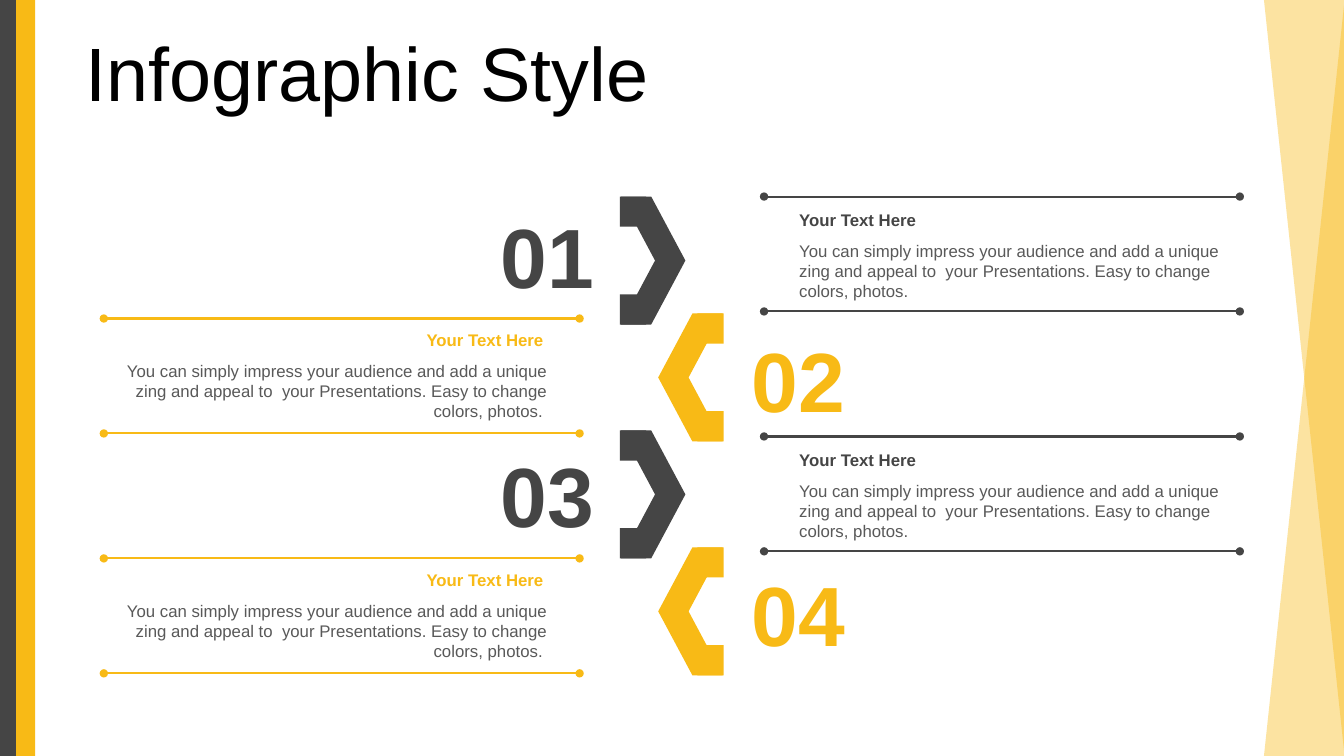
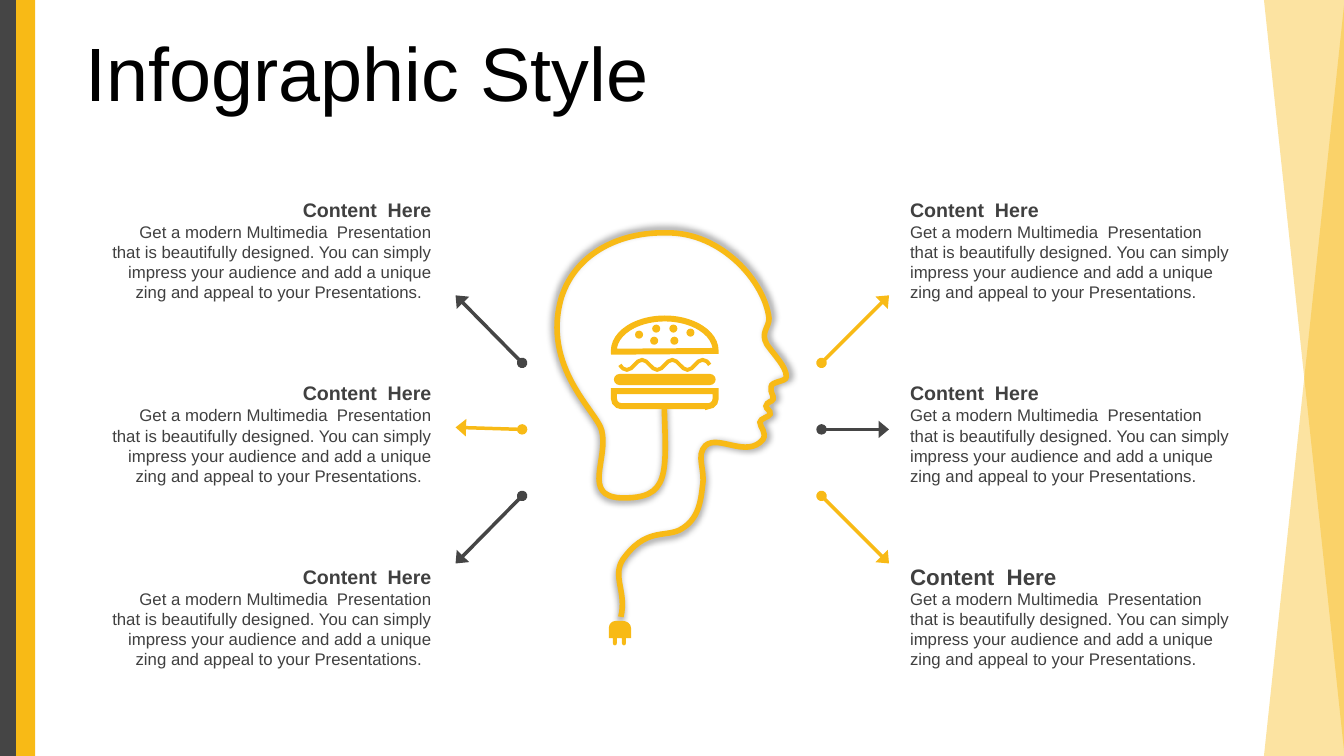
import pptx
import pptx.dml.color
import pptx.enum.shapes
import pptx.enum.text
import pptx.oxml.ns
import pptx.util

Inches = pptx.util.Inches
Pt = pptx.util.Pt
qn = pptx.oxml.ns.qn
SHAPE = pptx.enum.shapes.MSO_SHAPE
ALIGN = pptx.enum.text.PP_ALIGN
ANCHOR = pptx.enum.text.MSO_ANCHOR
AUTO_SIZE = pptx.enum.text.MSO_AUTO_SIZE

DARK, GOLD, WHITE, BLACK = "454545", "F8BA16", "FFFFFF", "000000"
BODY_GREY, TEXT_GREY = "595959", "404040"
FONT = "Arial"

IMPRESS = ("You can simply impress your audience and add a unique zing and appeal to  your "
           "Presentations. Easy to change colors, photos.")
MODERN = ("Get a modern Multimedia  Presentation that is beautifully designed. You can simply "
          "impress your audience and add a unique zing and appeal to your Presentations.")

HEAD_START = (6.59, 4.02)
HEAD_CURVES = [
    (6.61, 4.71, 6.65, 4.95, 6.16, 4.94), (5.77, 4.92, 6.04, 4.55, 5.97, 4.27),
    (5.92, 4.08, 5.37, 3.64, 5.57, 2.95), (5.72, 2.49, 6.18, 2.3, 6.61, 2.31),
    (7.16, 2.3, 7.59, 2.8, 7.63, 3.16), (7.63, 3.25, 7.54, 3.3, 7.61, 3.42),
    (7.68, 3.52, 7.81, 3.65, 7.8, 3.74), (7.8, 3.79, 7.65, 3.78, 7.65, 3.84),
    (7.64, 3.9, 7.68, 3.92, 7.67, 3.96), (7.66, 3.99, 7.61, 3.98, 7.6, 4.03),
    (7.6, 4.06, 7.65, 4.07, 7.64, 4.11), (7.63, 4.14, 7.54, 4.15, 7.54, 4.19),
    (7.54, 4.24, 7.61, 4.29, 7.57, 4.36), (7.41, 4.55, 7.13, 4.31, 7, 4.42),
    (6.9, 4.52, 7, 4.66, 6.97, 4.82), (6.95, 5.02, 6.91, 5.17, 6.74, 5.26),
    (6.59, 5.33, 6.4, 5.24, 6.18, 5.55), (6.07, 5.72, 6.22, 5.87, 6.16, 6.12),
]
PLUG_START = (6.11, 6.16)
PLUG_EDGES = [
    (6.18, 6.16), (6.22, 6.16, 6.26, 6.19, 6.26, 6.23), (6.26, 6.33), (6.21, 6.33),
    (6.21, 6.38), (6.21, 6.41, 6.17, 6.41, 6.17, 6.38), (6.17, 6.33), (6.12, 6.33),
    (6.12, 6.38), (6.12, 6.41, 6.08, 6.41, 6.08, 6.38), (6.08, 6.33), (6.04, 6.33),
    (6.04, 6.23), (6.04, 6.19, 6.07, 6.16, 6.11, 6.16),
]
SEEDS = [(6.3, 3.28), (6.47, 3.22), (6.64, 3.22), (6.81, 3.26), (6.45, 3.34), (6.65, 3.34)]


def rgb(color):
    return pptx.dml.color.RGBColor.from_string(color)


def add_xml(parent, tag, **attributes):
    element = parent.makeelement(qn(tag), attributes)
    parent.append(element)
    return element


def apply_format(target, values):
    for name, value in values.items():
        setattr(target, name, value)


def paint(shape, fill=None, line=None, width=0):
    shape.shadow.inherit = False
    if fill:
        shape.fill.solid()
        shape.fill.fore_color.rgb = rgb(fill)
    else:
        shape.fill.background()
    if line:
        shape.line.color.rgb = rgb(line)
        shape.line.width = Pt(width)
        add_xml(shape.element.spPr.find(qn("a:ln")), "a:miter", lim="800000")
    else:
        shape.line.fill.background()
    return shape


def add_preset(slide, preset, box, fill, line=None, width=0, rotation=0, adjustments=()):
    shape = slide.shapes.add_shape(preset, *map(Inches, box))
    for index, value in enumerate(adjustments):
        shape.adjustments[index] = value
    shape.rotation = rotation
    return paint(shape, fill, line, width)


def write(frame, text, color, size, bold=False, align=ALIGN.LEFT):
    paragraph = frame.paragraphs[0]
    paragraph.alignment = align
    run = paragraph.add_run()
    run.text = text
    apply_format(run.font, {"name": FONT, "size": Pt(size), "bold": bold})
    run.font.color.rgb = rgb(color)
    return paragraph


def add_text(slide, box, text, color, size, bold=False, align=ALIGN.LEFT, anchor=ANCHOR.TOP):
    frame = slide.shapes.add_textbox(*map(Inches, box)).text_frame
    apply_format(frame, {"word_wrap": True, "auto_size": AUTO_SIZE.SHAPE_TO_FIT_TEXT,
                         "vertical_anchor": anchor})
    write(frame, text, color, size, bold, align)


def add_line(slide, start, end, color, width, **tail):
    line = slide.shapes.add_connector(pptx.enum.shapes.MSO_CONNECTOR.STRAIGHT,
                                      *map(Inches, start + end))
    line.line.color.rgb = rgb(color)
    line.line.width = Pt(width)
    outline = line.element.spPr.find(qn("a:ln"))
    add_xml(outline, "a:headEnd", type="oval")
    add_xml(outline, "a:tailEnd", **tail)
    add_xml(line.element.spPr, "a:effectLst")


def add_outline(slide, start, edges, closed=False, **look):
    builder = slide.shapes.build_freeform(*map(Inches, start), scale=1.0)
    builder.add_line_segments([tuple(map(Inches, edge[-2:])) for edge in edges], close=closed)
    shape = builder.convert_to_shape()
    for edge, segment in zip(edges, list(shape.element.iter(qn("a:lnTo")))):
        if len(edge) == 6:
            curve = add_xml(segment.getparent(), "a:cubicBezTo")
            segment.getparent().replace(segment, curve)
            for x, y in zip(edge[0::2], edge[1::2]):
                add_xml(curve, "a:pt", x=str(Inches(x) - shape.left),
                        y=str(Inches(y) - shape.top))
    return paint(shape, **look)


def add_glow(shape, color, opacity, blur):
    effects = shape.element.spPr.find(qn("a:effectLst"))
    glow = add_xml(effects, "a:outerShdw", blurRad=str(Pt(blur)), dist="0", dir="0",
                   sx="102000", sy="102000", algn="ctr", rotWithShape="0")
    tint = add_xml(glow, "a:srgbClr", val=color)
    add_xml(tint, "a:alpha", val=str(opacity * 1000))


def add_wedge(slide, **flips):
    wedge = add_preset(slide, SHAPE.RIGHT_TRIANGLE, (12.54, 0, 0.8, 7.5), GOLD)
    wedge.element.spPr.find(qn("a:xfrm")).attrib.update(flips)
    tint = next(wedge.element.spPr.iter(qn("a:srgbClr")))
    add_xml(tint, "a:alpha", val="40000")
    return wedge


def decorate_layout(slide):
    layout = slide.slide_layout
    title = next(p for p in layout.placeholders if p.placeholder_format.idx == 0)
    apply_format(title, {"left": Inches(0.75), "top": Inches(0.37),
                         "width": Inches(12.26), "height": Inches(0.79)})
    bands = [
        add_wedge(slide, flipH="1", flipV="1"),
        add_preset(slide, SHAPE.RECTANGLE, (0, 0, 0.19, 7.5), DARK),
        add_preset(slide, SHAPE.RECTANGLE, (0.16, 0, 0.19, 7.5), GOLD),
        add_wedge(slide, flipH="1"),
    ]
    for band in bands:
        layout.shapes.element.append(band.element)


def add_title(slide, text):
    frame = slide.shapes.title.text_frame
    apply_format(frame, {"word_wrap": True, "auto_size": AUTO_SIZE.NONE,
                         "vertical_anchor": ANCHOR.MIDDLE})
    write(frame, text, BLACK, 54).line_spacing = 0.9


def add_bracket(slide, top, color, points_right):
    left, arm_left, rotation = (6.16, 6.15, 0) if points_right else (6.53, 6.92, 180)
    add_preset(slide, SHAPE.CHEVRON, (left, top, 0.64, 1.27), color,
               rotation=rotation, adjustments=[0.53])
    for arm_top in (top, top + 0.97):
        add_preset(slide, SHAPE.RECTANGLE, (arm_left, arm_top, 0.26, 0.3), color)


def add_step(slide, index, number_top, rule_top):
    on_right = index % 2 == 0
    color = DARK if on_right else GOLD
    number_left, rule_left, text_left = (4.86, 7.58, 7.83) if on_right else (7.35, 1.03, 1.14)
    align = ALIGN.LEFT if on_right else ALIGN.RIGHT
    advice = IMPRESS if on_right else IMPRESS + " "
    add_bracket(slide, 1.95 + 1.16 * index, color, on_right)
    add_text(slide, (number_left, number_top, 1.14, 1.11), f"{index + 1:02}", color, 60,
             True, ALIGN.CENTER)
    add_text(slide, (text_left, 2.34 + 1.19 * index, 4.39, 0.71), advice, BODY_GREY, 12,
             align=align)
    add_text(slide, (text_left, 2.03 + 1.19 * index, 4.35, 0.3), "Your Text Here", color, 12,
             True, align)
    for top in (rule_top, rule_top + 1.14):
        add_line(slide, (rule_left, top), (rule_left + 4.72, top), color, 1.5, type="oval")


def add_topics(slide, left, align, text, heading_sizes):
    for row, size in enumerate(heading_sizes):
        shift = 1.82 * row
        add_text(slide, (left, 1.91 + shift, 3.39, 0.34), "Content  Here", TEXT_GREY, size,
                 True, align, ANCHOR.MIDDLE)
        add_text(slide, (left, 2.15 + shift, 3.39, 0.91), text, TEXT_GREY, 12, align=align)


def add_arrows(slide, start_left, end_left, end_tops, colors):
    for row, (end_top, color) in enumerate(zip(end_tops, colors)):
        add_line(slide, (start_left, 3.6 + 0.66 * row), (end_left, end_top), color, 2.5,
                 type="triangle", w="lg", len="med")


def add_head(slide):
    head = add_outline(slide, HEAD_START, HEAD_CURVES, line=GOLD, width=4)
    add_glow(head, BLACK, 40, 5)
    add_outline(slide, PLUG_START, PLUG_EDGES, closed=True, fill=GOLD)


def add_lettuce(slide):
    trough, crest = 3.67, 3.57
    waves = [(6.17, 3.65, 6.19, trough, 6.22, trough)]
    for index in range(5):
        x = 6.22 + 0.15 * index
        y, next_y = (trough, crest) if index % 2 == 0 else (crest, trough)
        waves.append((x + 0.06, y, x + 0.09, next_y, x + 0.15, next_y))
    waves.append((7, crest, 7.02, 3.59, 7.04, 3.62))
    add_outline(slide, (6.15, 3.62), waves, line=GOLD, width=2.75)


def add_burger(slide):
    add_lettuce(slide)
    bun = {"fill": WHITE, "line": GOLD, "width": 4.25}
    add_preset(slide, SHAPE.ROUND_2_SAME_RECTANGLE, (6.09, 3.71, 1.01, 0.11), GOLD,
               adjustments=[0.5, 0.5])
    add_preset(slide, SHAPE.ROUND_2_SAME_RECTANGLE, (6.09, 3.88, 1.01, 0.15), rotation=180,
               adjustments=[0.5, 0], **bun)
    add_preset(slide, SHAPE.CHORD, (6.09, 3.16, 1.01, 0.64), adjustments=[107.35, 0.14], **bun)
    for left, top in SEEDS:
        add_preset(slide, SHAPE.OVAL, (left, top, 0.08, 0.08), GOLD)


def main():
    deck = pptx.Presentation()
    apply_format(deck, {"slide_width": Inches(40 / 3), "slide_height": Inches(7.5)})
    title_only = deck.slide_layouts[5]
    steps, mind = (deck.slides.add_slide(title_only) for _ in range(2))
    decorate_layout(steps)
    for slide in (steps, mind):
        add_title(slide, "Infographic Style")

    tops = [(1.98, 1.95), (3.21, 3.16), (4.35, 4.33), (5.53, 5.54)]
    for index, (number_top, rule_top) in enumerate(tops):
        add_step(steps, index, number_top, rule_top)

    add_arrows(mind, 8.15, 8.82, (2.93, 4.26, 5.59), (GOLD, DARK, GOLD))
    add_arrows(mind, 5.18, 4.52, (2.93, 4.24, 5.59), (DARK, GOLD, DARK))
    add_topics(mind, 8.93, ALIGN.LEFT, MODERN, (14, 14, 16))
    add_topics(mind, 0.99, ALIGN.RIGHT, MODERN + "  ", (14, 14, 14))
    add_head(mind)
    add_burger(mind)
    deck.save("out.pptx")


if __name__ == "__main__":
    main()
